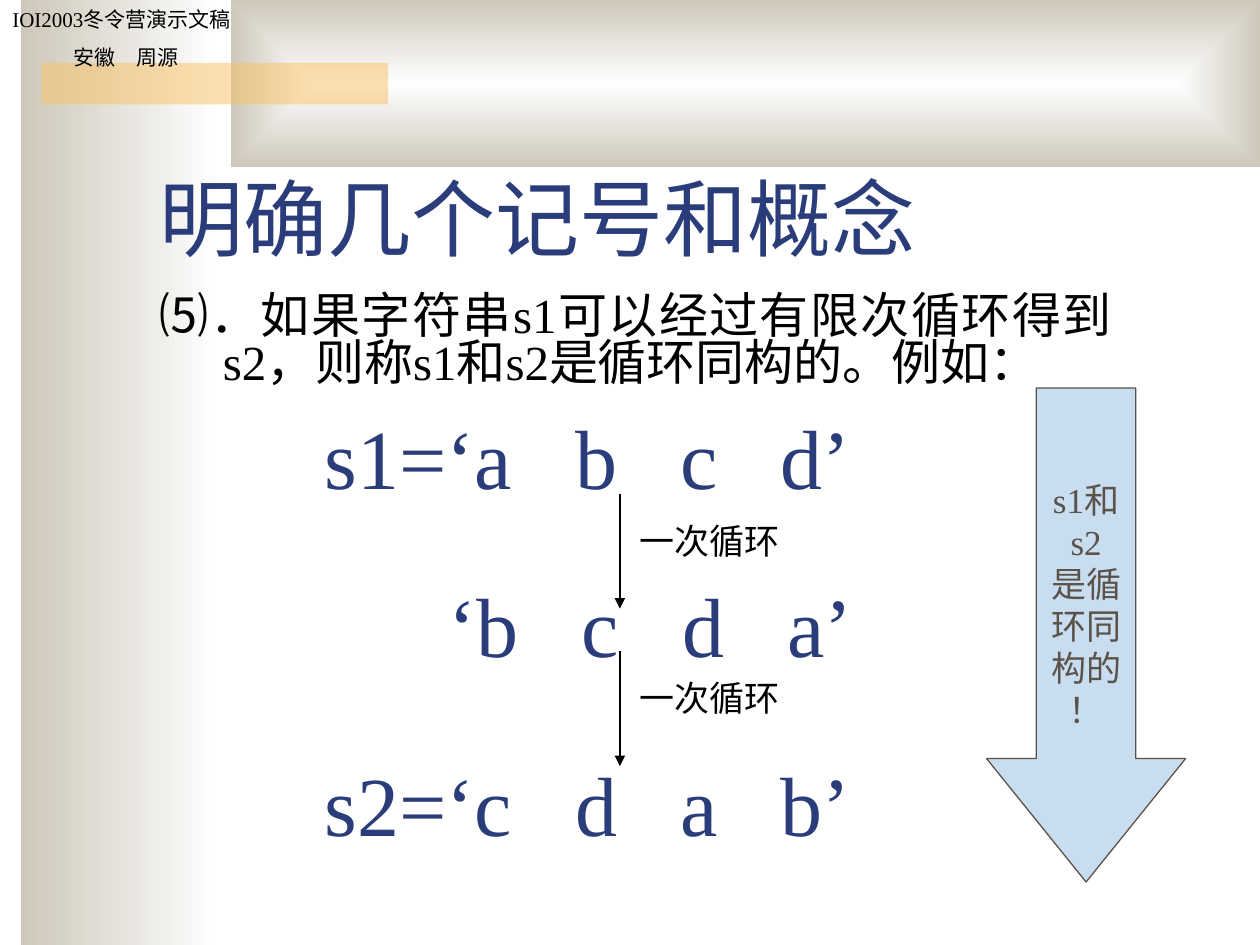
import dataclasses
import typing

import pptx
import pptx.dml.color
import pptx.enum.dml
import pptx.enum.shapes
import pptx.enum.text
import pptx.oxml
import pptx.oxml.ns
import pptx.util

Inches = pptx.util.Inches
Pt = pptx.util.Pt
Align = pptx.enum.text.PP_ALIGN
Anchor = pptx.enum.text.MSO_ANCHOR
Kind = pptx.enum.shapes.MSO_SHAPE

NAVY, BLACK, BROWN = "2A3D7A", "000000", "5B5249"
WHITE, TAN, AMBER, SKY = "FFFFFF", "CEC8BA", "FAC164", "C9DDF1"


@dataclasses.dataclass
class Box:
    left: float
    top: float
    width: float
    height: float

    def place(self) -> list:
        return [Inches(v) for v in dataclasses.astuple(self)]


@dataclasses.dataclass
class Style:
    size: float
    color: str
    form: dict = dataclasses.field(default_factory=dict)


@dataclasses.dataclass
class Label:
    box: Box
    lines: list[str]
    style: Style
    anchor: typing.Any = Anchor.TOP
    grow: bool = False


def rgb(code: str) -> pptx.dml.color.RGBColor:
    return pptx.dml.color.RGBColor.from_string(code)


def add_xml(parent: typing.Any, text: str) -> None:
    """Append a piece of DrawingML, given without its namespace."""
    head, rest = text.split(" ", 1)
    space = pptx.oxml.ns.nsdecls("a")
    parent.append(pptx.oxml.parse_xml(f"{head} {space} {rest}"))


def write(frame: typing.Any, lines: list[str], style: Style) -> None:
    for i, line in enumerate(lines):
        para = frame.paragraphs[0] if i == 0 else frame.add_paragraph()
        for key, value in style.form.items():
            setattr(para, key, value)
        run = para.add_run()
        run.text = line
        for key, value in {"name": "Times New Roman", "size": Pt(style.size)}.items():
            setattr(run.font, key, value)
        run.font.color.rgb = rgb(style.color)


def add_label(shapes: typing.Any, label: Label) -> typing.Any:
    frame = shapes.add_textbox(*label.box.place()).text_frame
    fit = pptx.enum.text.MSO_AUTO_SIZE
    form = {
        "word_wrap": True,
        "vertical_anchor": label.anchor,
        "auto_size": fit.SHAPE_TO_FIT_TEXT if label.grow else fit.NONE,
    }
    for key, value in form.items():
        setattr(frame, key, value)
    write(frame, label.lines, label.style)
    return frame


def add_shape(shapes: typing.Any, kind: typing.Any, box: Box) -> typing.Any:
    shape = shapes.add_shape(kind, *box.place())
    shape.shadow.inherit = False
    shape.line.fill.background()
    return shape


def add_fade(shapes: typing.Any, box: Box) -> typing.Any:
    """Draw a band that fades from white to tan, towards the left."""
    fill = add_shape(shapes, Kind.RECTANGLE, box).fill
    fill.gradient()
    fill.gradient_angle = 180
    for stop, code, place in zip(fill.gradient_stops, (WHITE, TAN), (0, 1)):
        stop.color.rgb = rgb(code)
        stop.position = place
    return fill


def add_arrow(shapes: typing.Any, x: float, top: float, end: float) -> None:
    ends = [Inches(v) for v in (x, top, x, end)]
    arrow = shapes.add_connector(pptx.enum.shapes.MSO_CONNECTOR.STRAIGHT, *ends)
    arrow.line.color.rgb = rgb(BLACK)
    arrow.line.width = Pt(0.75)
    add_xml(arrow.line._get_or_add_ln(), '<a:tailEnd type="triangle"/>')
    add_xml(arrow._element.spPr, "<a:effectLst />")


def add_frame(shapes: typing.Any) -> None:
    """Draw the background bands and the header text."""
    add_fade(shapes, Box(0.17, 0, 1.58, 7.5))
    fill = add_fade(shapes, Box(1.83, 0, 8.17, 1.33))
    grad = fill._fill._gradFill
    grad.remove(grad.find(pptx.oxml.ns.qn("a:lin")))
    add_xml(grad, '<a:path path="rect"><a:fillToRect l="50000" t="50000" '
                  'r="50000" b="50000"/></a:path>')
    bar = add_shape(shapes, Kind.RECTANGLE, Box(0.33, 0.5, 2.75, 0.33))
    bar.fill.solid()
    bar.fill.fore_color.rgb = rgb(AMBER)
    tint = bar._element.spPr.find(".//" + pptx.oxml.ns.qn("a:srgbClr"))
    add_xml(tint, '<a:alpha val="50000"/>')
    head = Style(12, BLACK, {"space_before": Pt(7.5)})
    lines = ["IOI2003冬令营演示文稿", "安徽\u3000周源".replace("\u3000", "　")]
    frame = add_label(shapes, Label(Box(0, 0, 2, 0.61), lines, head, grow=True))
    frame.paragraphs[1].alignment = Align.CENTER


def add_verdict(shapes: typing.Any) -> None:
    """Draw the large block arrow with the conclusion."""
    arrow = add_shape(shapes, Kind.DOWN_ARROW, Box(7.83, 3.08, 1.58, 3.92))
    arrow.adjustments[0], arrow.adjustments[1] = 0.5, 0.62
    arrow.fill.solid()
    arrow.fill.fore_color.rgb = rgb(SKY)
    arrow.line.color.rgb = rgb(BROWN)
    arrow.line.width = Pt(0.75)
    frame = arrow.text_frame
    frame.word_wrap = False
    frame.vertical_anchor = Anchor.MIDDLE
    lines = ["s1和", "s2", "是循", "环同", "构的", "！"]
    write(frame, lines, Style(20, BROWN, {"alignment": Align.CENTER}))


def main() -> None:
    deck = pptx.Presentation()
    deck.slide_width, deck.slide_height = Inches(10), Inches(7.5)
    shapes = deck.slides.add_slide(deck.slide_layouts[6]).shapes
    add_frame(shapes)

    add_label(shapes, Label(Box(1.17, 0.92, 8.5, 1.25), ["明确几个记号和概念"],
                            Style(48, NAVY), Anchor.BOTTOM))
    form = {"alignment": Align.JUSTIFY, "line_spacing": 0.8, "space_before": Pt(7)}
    rule = "⑸．如果字符串s1可以经过有限次循环得到s2，则称s1和s2是循环同构的。例如："
    body = add_label(shapes, Label(Box(1.17, 2.3, 7.75, 0.87), [rule],
                                   Style(28, BLACK, form)))
    props = body.paragraphs[0]._p.get_or_add_pPr()
    for key, value in {"marL": Inches(0.5), "indent": Inches(-0.5)}.items():
        props.set(key, str(int(value)))
    add_verdict(shapes)

    big = Style(48, NAVY, {"alignment": Align.CENTER, "space_before": Pt(30)})
    note = Style(20, BLACK, {"alignment": Align.CENTER, "space_before": Pt(12.5)})
    rows = [
        (1.83, 3.17, "s1=‘a   b   c   d’"),
        (2.33, 4.5, "‘b   c   d   a’"),
        (1.83, 5.92, "s2=‘c   d   a   b’"),
    ]
    for left, top, text in rows:
        add_label(shapes, Label(Box(left, top, 5.67, 0.9), [text], big, grow=True))
    for top in (3.92, 5.17):
        add_arrow(shapes, 4.92, top, top + 0.91)
        add_label(shapes, Label(Box(4.92, top + 0.15, 1.42, 0.44), ["一次循环"],
                                note, grow=True))
    deck.save("out.pptx")


if __name__ == "__main__":
    main()
